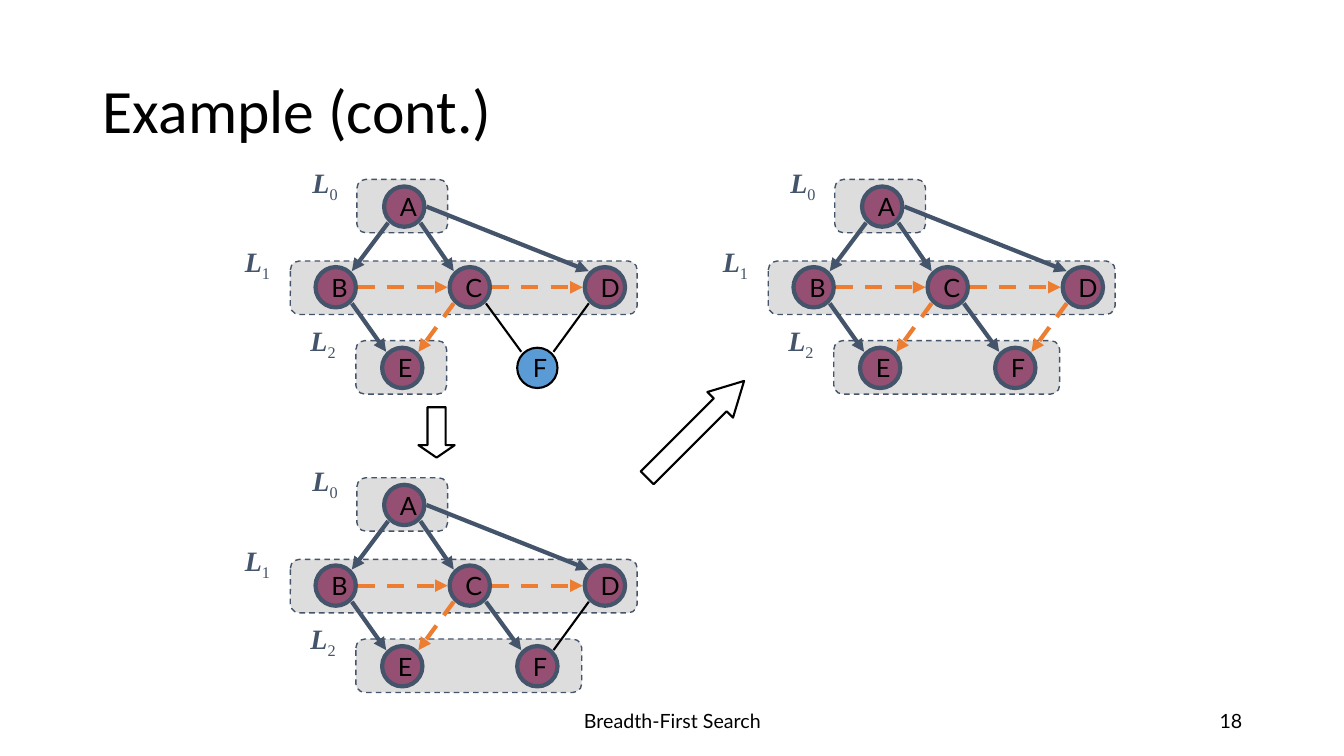
import pptx
import pptx.dml.color
import pptx.enum.dml
import pptx.enum.shapes
import pptx.enum.text
import pptx.oxml
import pptx.oxml.ns
import pptx.util

Inches, Pt = pptx.util.Inches, pptx.util.Pt
SHAPE = pptx.enum.shapes.MSO_SHAPE
ALIGN = pptx.enum.text.PP_ALIGN
MIDDLE = pptx.enum.text.MSO_ANCHOR.MIDDLE
DASH = pptx.enum.dml.MSO_LINE.DASH

TITLE = "Example (cont.)"
FOOTER = ("Breadth-First Search", (4.42, 6.95, 4.5, 0.4), ALIGN.CENTER)
PAGE = ("18", (9.42, 6.95, 3, 0.4), ALIGN.RIGHT)

BLACK, SLATE, ORANGE = "000000", "44546A", "ED7D31"
PLUM, BLUE, GREY = "954F72", "5B9BD5", "DDDDDD"

# Node centres in the first stage
NODES = {"A": (4.01, 2.05), "B": (3.33, 2.85), "C": (4.66, 2.85),
         "D": (6.0, 2.85), "E": (3.99, 3.65), "F": (5.33, 3.65)}
NODE_SIZE = 0.4
PORT_REACH = 0.22
DIAGONAL = 0.16
PORTS = {"E": (PORT_REACH, 0), "W": (-PORT_REACH, 0),
         "NE": (DIAGONAL, -DIAGONAL), "NW": (-DIAGONAL, -DIAGONAL),
         "SE": (DIAGONAL, DIAGONAL), "SW": (-DIAGONAL, DIAGONAL)}

# Edge kind: colour, width, dashed, arrowhead
EDGE_STYLES = {"discovery": (SLATE, 3, False, True),
               "cross": (ORANGE, 3, True, True),
               "unexplored": (BLACK, 1.5, False, False)}
# Start node, port, end node, port, kind
SHARED_EDGES = [("A", "SW", "B", "NE", "discovery"),
                ("A", "SE", "C", "NW", "discovery"),
                ("A", "E", "D", "NW", "discovery"),
                ("B", "SE", "E", "NW", "discovery"),
                ("B", "E", "C", "W", "cross"),
                ("C", "E", "D", "W", "cross"),
                ("C", "SW", "E", "NE", "cross")]

# Level: box left, top, width, then label left, top
LEVELS = [(3.54, 1.78, 0.9, 3.0, 1.59),
          (2.88, 2.59, 3.44, 2.33, 2.38),
          (3.53, 3.38, 0.9, 2.98, 3.16)]
LEVEL_HEIGHT = 0.53
LAST_LEVEL_WITH_F = 2.24

# Offset from the first stage, whether F is visited, kinds of edges C-F and D-F
STAGES = [((0, 0), False, "unexplored", "unexplored"),
          ((0, 2.96), True, "discovery", "unexplored"),
          ((4.74, 0), True, "discovery", "cross")]

# Box, rotation, head length
STAGE_ARROWS = [((4.08, 4.11, 0.5, 0.36), 90, 0.343),
                ((6.22, 4.08, 1.36, 0.36), -45, 0.932)]


def color(hex_string):
    return pptx.dml.color.RGBColor.from_string(hex_string)


def style_line(line, hex_string, width, dashed=False):
    line.color.rgb = color(hex_string)
    line.width = Pt(width)
    if dashed:
        line.dash_style = DASH


def style_font(font, name, size, hex_string=BLACK):
    font.name = name
    font.size = Pt(size)
    font.color.rgb = color(hex_string)


def add_outline(shapes, preset, box, fill, *line):
    shape = shapes.add_shape(preset, *map(Inches, box))
    shape.shadow.inherit = False
    if fill:
        shape.fill.solid()
        shape.fill.fore_color.rgb = color(fill)
    else:
        shape.fill.background()
    style_line(shape.line, *line)
    return shape


def add_node(shapes, letter, center, visited):
    box = (center[0] - NODE_SIZE / 2, center[1] - NODE_SIZE / 2, NODE_SIZE, NODE_SIZE)
    look = (PLUM, SLATE, 3) if visited else (BLUE, BLACK, 1.5)
    frame = add_outline(shapes, SHAPE.OVAL, box, *look).text_frame
    frame.text = letter
    frame.word_wrap = False
    frame.vertical_anchor = MIDDLE
    frame.paragraphs[0].alignment = ALIGN.LEFT
    style_font(frame.paragraphs[0].runs[0].font, "Lato", 18)


def add_edge(shapes, start, end, kind):
    hex_string, width, dashed, arrow = EDGE_STYLES[kind]
    edge = shapes.add_connector(pptx.enum.shapes.MSO_CONNECTOR.STRAIGHT,
                                *map(Inches, start + end))
    style_line(edge.line, hex_string, width, dashed)
    properties = edge._element.spPr
    if arrow:
        head = pptx.oxml.parse_xml(
            f'<a:tailEnd {pptx.oxml.ns.nsdecls("a")} type="triangle"/>')
        edge.line._get_or_add_ln().append(head)
    properties.append(pptx.oxml.parse_xml(f'<a:effectLst {pptx.oxml.ns.nsdecls("a")}/>'))


def add_level_label(shapes, number, left, top):
    frame = shapes.add_textbox(*map(Inches, (left, top, 0.51, 0.43))).text_frame
    frame.word_wrap = True
    line = frame.paragraphs[0]
    letter, subscript = line.add_run(), line.add_run()
    letter.text, subscript.text = "L", str(number)
    for run in (letter, subscript):
        style_font(run.font, "Times New Roman", 20, SLATE)
        run.font.bold = run.font.italic = run is letter
    subscript.font._element.set("baseline", "-25000")


def add_stage(slide, offset, f_visited, c_to_f, d_to_f):
    shapes = slide.shapes.add_group_shape().shapes
    dx, dy = offset

    for number, (left, top, width, label_left, label_top) in enumerate(LEVELS):
        if number == 2 and f_visited:
            width = LAST_LEVEL_WITH_F
        box = add_outline(shapes, SHAPE.ROUNDED_RECTANGLE,
                          (left + dx, top + dy, width, LEVEL_HEIGHT), GREY, SLATE, 1, True)
        box.adjustments[0] = 0.167
        add_level_label(shapes, number, label_left + dx, label_top + dy)

    centers = {letter: (x + dx, y + dy) for letter, (x, y) in NODES.items()}
    for letter, center in centers.items():
        add_node(shapes, letter, center, letter != "F" or f_visited)

    def port(letter, side):
        return tuple(c + d for c, d in zip(centers[letter], PORTS[side]))

    edges = SHARED_EDGES + [("C", "SE", "F", "NW", c_to_f), ("D", "SW", "F", "NE", d_to_f)]
    for start, start_side, end, end_side, kind in edges:
        add_edge(shapes, port(start, start_side), port(end, end_side), kind)


def add_footer(slide, text, box, alignment):
    frame = slide.shapes.add_textbox(*map(Inches, box)).text_frame
    frame.text = text
    frame.word_wrap = True
    frame.vertical_anchor = MIDDLE
    frame.paragraphs[0].alignment = alignment
    style_font(frame.paragraphs[0].runs[0].font, "Lato", 14)


def main():
    deck = pptx.Presentation()
    deck.slide_width, deck.slide_height = Inches(13.33), Inches(7.5)
    slide = deck.slides.add_slide(deck.slide_layouts[5])

    title = slide.shapes.title
    title.left, title.top, title.width, title.height = map(Inches, (0.92, 0.4, 11.5, 1.45))
    title.text_frame.text = TITLE
    title.text_frame.vertical_anchor = MIDDLE
    heading = title.text_frame.paragraphs[0]
    heading.alignment = ALIGN.LEFT
    heading.line_spacing = 0.9
    style_font(heading.runs[0].font, "Calibri", 44)

    for stage in STAGES:
        add_stage(slide, *stage)
    for box, rotation, head_length in STAGE_ARROWS:
        arrow = add_outline(slide.shapes, SHAPE.RIGHT_ARROW, box, None, BLACK, 1.5)
        arrow.rotation = rotation
        arrow.adjustments[1] = head_length
    for footer in (FOOTER, PAGE):
        add_footer(slide, *footer)

    deck.save("out.pptx")


if __name__ == "__main__":
    main()
